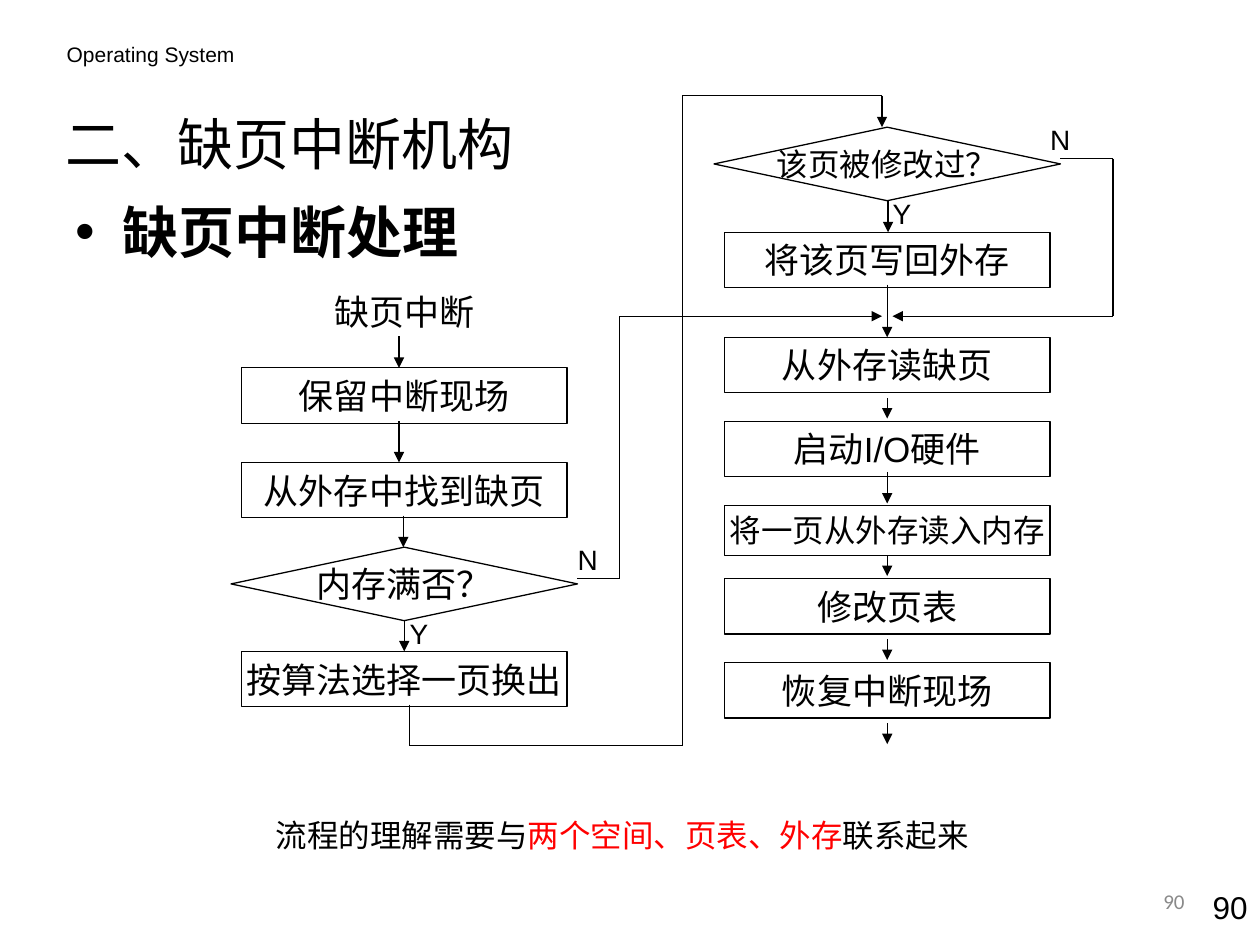
from lxml import etree
from pptx import Presentation
from pptx.dml.color import RGBColor
from pptx.enum import shapes, text
from pptx.oxml.ns import qn
from pptx.util import Pt

BLACK, RED, GREY = "000000", "FF0000", "898989"
CJK = "Noto Sans CJK SC"
CENTER, LEFT, RIGHT = text.PP_ALIGN.CENTER, text.PP_ALIGN.LEFT, text.PP_ALIGN.RIGHT
BOX_HEIGHT = 31.7
DIAMOND_HEIGHT = 42


def color(value):
    return RGBColor.from_string(value)


def set_place(shape, left, top, width, height):
    shape.left, shape.top = Pt(left), Pt(top)
    shape.width, shape.height = Pt(width), Pt(height)


def write(shape, spans, size, align=LEFT, font="Arial", bold=False,
          anchor=text.MSO_ANCHOR.TOP, side=7.2, wrap=True):
    """Fill a shape with one paragraph made of (wording, colour) spans."""
    frame = shape.text_frame
    frame.auto_size = text.MSO_AUTO_SIZE.NONE
    frame.word_wrap = wrap
    frame.vertical_anchor = anchor
    frame.margin_left = frame.margin_right = Pt(side)
    frame.margin_top = frame.margin_bottom = Pt(3.6)
    para = frame.paragraphs[0]
    para.alignment = align
    para.space_before = Pt(0)
    para.font.size = Pt(size)
    para.font.name = font
    para.font.bold = bold
    for wording, tint in spans:
        span = para.add_run()
        span.text = wording
        span.font.color.rgb = color(tint)


def add_text(page, place, spans, size, **style):
    box = page.shapes.add_textbox(*map(Pt, place))
    write(box, spans, size, **style)


def add_step(page, kind, place, wording, size):
    """Draw an outlined flowchart step with centred wording."""
    step = page.shapes.add_shape(kind, *map(Pt, place))
    step.shadow.inherit = False
    step.fill.background()
    step.line.color.rgb = color(BLACK)
    step.line.width = Pt(0.75)
    write(step, [(wording, BLACK)], size, align=CENTER, side=0,
          anchor=text.MSO_ANCHOR.MIDDLE, wrap=False)


def add_route(page, *points, arrow=True):
    """Join the points with straight lines; the last may carry an arrowhead."""
    for start, end in zip(points, points[1:]):
        line = page.shapes.add_connector(
            shapes.MSO_CONNECTOR.STRAIGHT, *map(Pt, start + end))
        line.line.color.rgb = color(BLACK)
        line.line.width = Pt(0.75)
        properties = line._element.spPr
        etree.SubElement(properties, qn("a:effectLst"))
    if arrow:
        etree.SubElement(properties.find(qn("a:ln")), qn("a:tailEnd"),
                         type="triangle", w="med", len="med")


def add_column(page, left, top, width, steps, diamond, arrows):
    """Stack steps (offset, wording, size, height), a decision and down arrows."""
    for offset, wording, size, height in steps:
        add_step(page, shapes.MSO_SHAPE.RECTANGLE,
                 (left, top + offset, width, height), wording, size)
    offset, wording, size = diamond
    add_step(page, shapes.MSO_SHAPE.DIAMOND,
             (left - 6, top + offset, width + 12, DIAMOND_HEIGHT), wording, size)
    for x, start, end in arrows:
        add_route(page, (left + x, top + start), (left + x, top + end))
    answers = (("N", left + width + (6 if offset else 0), top + offset - 6),
               ("Y", left + 96, top + offset + 36))
    for answer, x, y in answers:
        add_text(page, (x, y, 24, 26.6), [(answer, BLACK)], 16, side=0)


def add_fault_column(page, left, top, width):
    add_text(page, (left, top, width, BOX_HEIGHT), [("缺页中断", BLACK)], 20,
             align=CENTER, side=0)
    steps = [(47.5, "保留中断现场", 20, BOX_HEIGHT),
             (101.5, "从外存中找到缺页", 20, BOX_HEIGHT),
             (209.5, "按算法选择一页换出", 20, BOX_HEIGHT)]
    arrows = [(90, 29.5, 47.5), (90, 78, 101.5), (92.5, 132, 150), (93, 191.5, 209.5)]
    add_column(page, left, top, width, steps, (150, "内存满否？", 20), arrows)


def add_load_column(page, left, top, width):
    steps = [(60, "将该页写回外存", 20, BOX_HEIGHT),
             (120, "从外存读缺页", 20, BOX_HEIGHT),
             (168, "启动I/O硬件", 20, BOX_HEIGHT),
             (216, "将一页从外存读入内存", 18, 28.8),
             (258, "修改页表", 20, BOX_HEIGHT),
             (306, "恢复中断现场", 20, BOX_HEIGHT)]
    arrows = [(93.5, 42, 60)] + [
        (93, start, end) for start, end in
        [(90, 120), (155, 166.5), (197, 215), (245, 256.5), (292.5, 304.5), (340.5, 352.5)]]
    add_column(page, left, top, width, steps, (0, "该页被修改过？", 18), arrows)


def add_flowchart(page, left, top):
    """Place both columns and the lines that link them."""
    add_fault_column(page, left, top + 108, 186)
    add_load_column(page, left + 276, top + 18, 186)
    links = [
        [(96, 348), (96, 371.5), (252, 371.5), (252, 0), (366, 0), (366, 18)],
        [(192, 276), (216, 276), (216, 126), (366, 126)],
        [(468, 36), (498, 36), (498, 126), (372, 126)],
    ]
    for link in links:
        add_route(page, *[(left + x, top + y) for x, y in link])


def add_headings(page):
    title, body = page.placeholders
    set_place(title, 30, 54.5, 408, 54)
    write(title, [("二、缺页中断机构", BLACK)], 32, font=CJK,
          anchor=text.MSO_ANCHOR.MIDDLE)
    set_place(body, 36, 109, 432, 324)
    write(body, [("缺页中断处理", BLACK)], 32, font=CJK, bold=True)
    add_text(page, (31, 20, 295, 21.8), [("Operating System", BLACK)], 12)


def add_footer(page):
    add_text(page, (150.5, 463, 487.5, 29), [
        ("流程的理解需要与", BLACK), ("两个空间、页表、外存", RED), ("联系起来", BLACK)], 18)
    add_text(page, (516, 500.5, 168, 28.8), [("90", GREY)], 12, align=RIGHT,
             font="Calibri", anchor=text.MSO_ANCHOR.MIDDLE)
    add_text(page, (672, 504, 48, 29), [("90", BLACK)], 18, align=RIGHT)


def main():
    deck = Presentation()
    deck.slide_width, deck.slide_height = Pt(720), Pt(540)
    page = deck.slides.add_slide(deck.slide_layouts[1])
    add_headings(page)
    add_flowchart(page, 138, 54.7)
    add_footer(page)
    deck.save("out.pptx")


if __name__ == "__main__":
    main()
